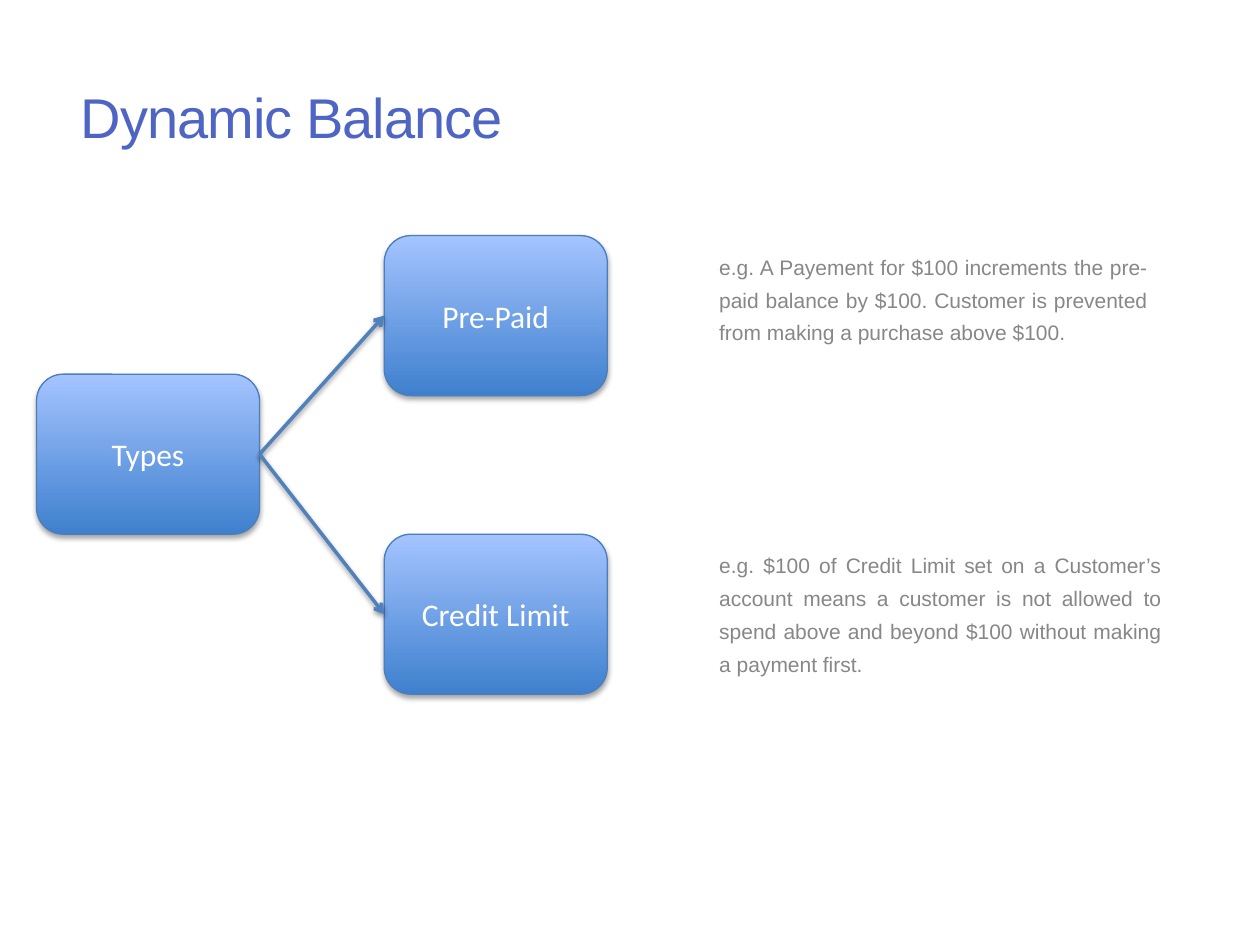
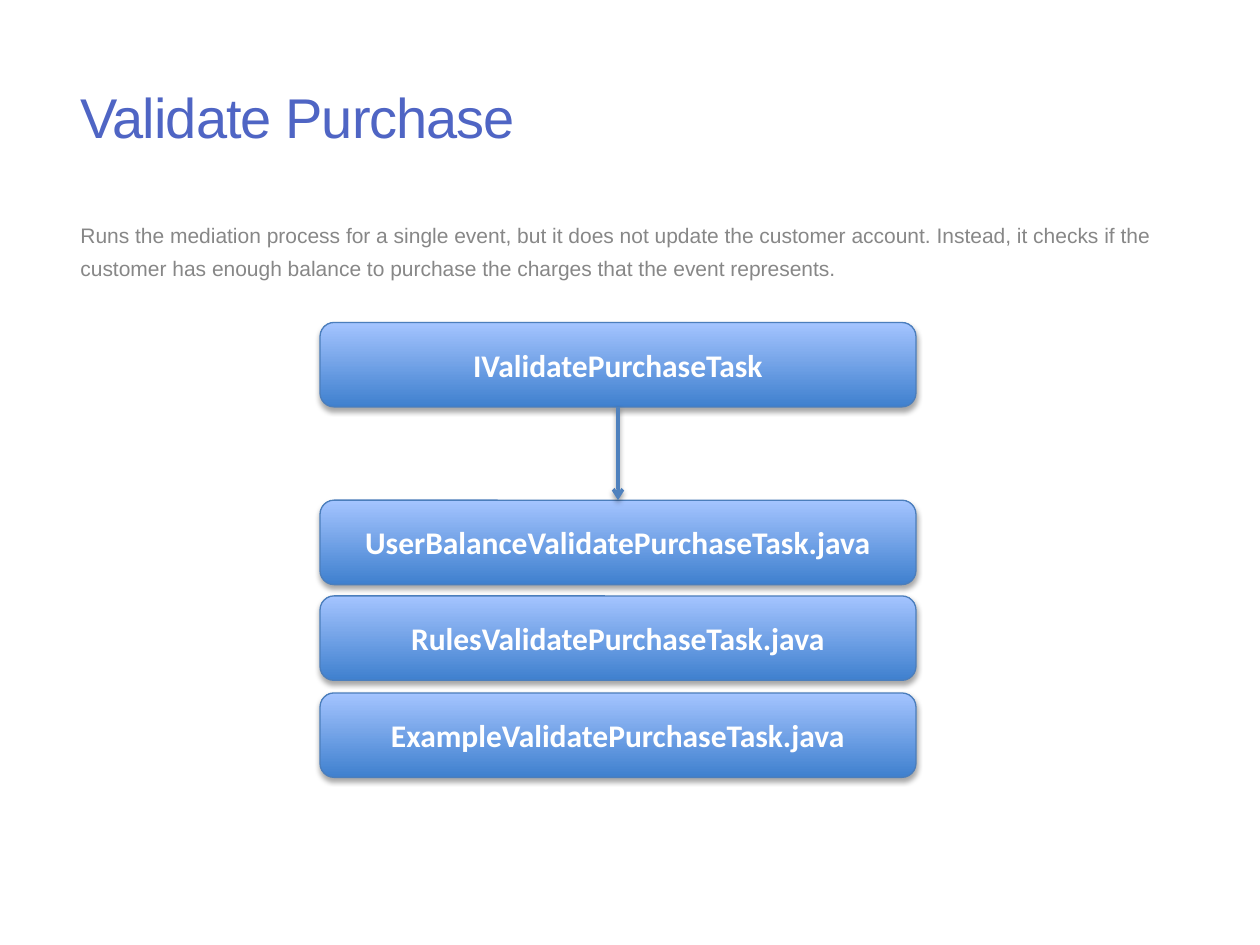
"""Build two slides on dynamic balances and purchase validation."""
from pptx import Presentation
from pptx.dml.color import RGBColor
from pptx.enum.shapes import MSO_CONNECTOR, MSO_SHAPE
from pptx.enum.text import MSO_ANCHOR, PP_ALIGN
from pptx.oxml import parse_xml
from pptx.oxml.ns import nsdecls
from pptx.util import Inches, Pt

COLOURS = {
    "title": "4F65C4",
    "note": "878787",
    "box_text": "FFFFFF",
    "box_bottom": "3F80CE",
    "box_top": "A4C4FF",
    "box_line": "4B7EBC",
    "arrow": "4F81BD",
    "shadow": "000000",
}
COLOURS_RGB = {name: RGBColor.from_string(value) for name, value in COLOURS.items()}
TOP, LEFT, BOTTOM, RIGHT = range(4)
TYPE_SIZE = (1.77, 1.27)
TASK_SIZE = (4.73, 0.67)
TASK_LEFT = 2.54

PAGES = [
    {
        "title": "Dynamic Balance",
        "notes": [
            (5.61, 1.91, 3.6, 1.19, PP_ALIGN.JUSTIFY,
             "e.g. A Payement for $100 increments the pre-paid balance by $100. "
             "Customer is prevented from making a purchase above $100."),
            (5.61, 4.28, 3.71, 1.23, PP_ALIGN.JUSTIFY,
             "e.g. $100 of Credit Limit set on a Customer\u2019s account means a customer "
             "is not allowed to spend above and beyond $100 without making a payment first."),
        ],
        "box_size": TYPE_SIZE,
        "boxes": {"Types": (0.29, 2.97), "Pre-Paid": (3.05, 1.87), "Credit Limit": (3.05, 4.24)},
        "bold": False,
        "arrows": [("Types", RIGHT, "Pre-Paid", LEFT), ("Types", RIGHT, "Credit Limit", LEFT)],
    },
    {
        "title": "Validate Purchase",
        "notes": [
            (0.54, 1.66, 8.73, 0.71, PP_ALIGN.LEFT,
             "Runs the mediation process for a single event, but it does not update the "
             "customer account. Instead, it checks if the customer has enough balance to "
             "purchase the charges that the event represents."),
        ],
        "box_size": TASK_SIZE,
        "boxes": {
            "IValidatePurchaseTask": (TASK_LEFT, 2.56),
            "UserBalanceValidatePurchaseTask.java": (TASK_LEFT, 3.97),
            "RulesValidatePurchaseTask.java": (TASK_LEFT, 4.73),
            "ExampleValidatePurchaseTask.java": (TASK_LEFT, 5.5),
        },
        "bold": True,
        "arrows": [("IValidatePurchaseTask", BOTTOM, "UserBalanceValidatePurchaseTask.java", TOP)],
    },
]


def write(frame, text, font, size, colour, align, bold=False):
    frame.word_wrap = True
    para = frame.paragraphs[0]
    para.alignment = align
    span = para.add_run()
    span.text = text
    span.font.name = font
    span.font.size = Pt(size)
    span.font.bold = bold
    span.font.color.rgb = COLOURS_RGB[colour]
    return para, span


def cast_shadow(shape, distance, opacity):
    shape.element.spPr.append(parse_xml(
        f'<a:effectLst {nsdecls("a")}><a:outerShdw blurRad="{Pt(3.1)}" '
        f'dist="{Pt(distance)}" dir="5400000" rotWithShape="0">'
        f'<a:srgbClr val="{COLOURS["shadow"]}"><a:alpha val="{opacity * 1000}"/></a:srgbClr>'
        '</a:outerShdw></a:effectLst>'))


deck = Presentation()
deck.slide_width = Inches(10)
deck.slide_height = Inches(7.5)

for content in PAGES:
    page = deck.slides.add_slide(deck.slide_layouts[5])

    title = page.shapes.title
    title.left, title.top = Inches(0.54), Inches(0.51)
    title.width, title.height = Inches(7), Inches(0.83)
    title.text_frame.vertical_anchor = MSO_ANCHOR.MIDDLE
    para, span = write(title.text_frame, content["title"], "Arial", 32, "title", PP_ALIGN.LEFT)
    span.font._element.set("spc", "-60")

    for left, top, width, height, align, text in content["notes"]:
        note = page.shapes.add_textbox(Inches(left), Inches(top), Inches(width), Inches(height))
        para, span = write(note.text_frame, text, "Arial", 12, "note", align)
        para.line_spacing = 1.3
        para.space_before = Pt(2.4)

    boxes = {}
    width, height = content["box_size"]
    for label, (left, top) in content["boxes"].items():
        box = page.shapes.add_shape(MSO_SHAPE.ROUNDED_RECTANGLE, Inches(left), Inches(top),
                                    Inches(width), Inches(height))
        box.fill.gradient()
        box.fill.gradient_angle = 90
        for stop, colour in zip(box.fill.gradient_stops, ("box_bottom", "box_top")):
            stop.color.rgb = COLOURS_RGB[colour]
        box.line.color.rgb = COLOURS_RGB["box_line"]
        box.line.width = Pt(0.75)
        cast_shadow(box, 1.8, 35)
        box.text_frame.vertical_anchor = MSO_ANCHOR.MIDDLE
        write(box.text_frame, label, "Calibri", 18, "box_text", PP_ALIGN.CENTER, content["bold"])
        boxes[label] = box

    for source, source_side, target, target_side in content["arrows"]:
        arrow = page.shapes.add_connector(MSO_CONNECTOR.STRAIGHT, 0, 0, 0, 0)
        arrow.begin_connect(boxes[source], source_side)
        arrow.end_connect(boxes[target], target_side)
        arrow.line.color.rgb = COLOURS_RGB["arrow"]
        arrow.line.width = Pt(2)
        arrow.line._get_or_add_ln().append(parse_xml(f'<a:tailEnd {nsdecls("a")} type="arrow"/>'))
        cast_shadow(arrow, 1.6, 38)

deck.save("out.pptx")
